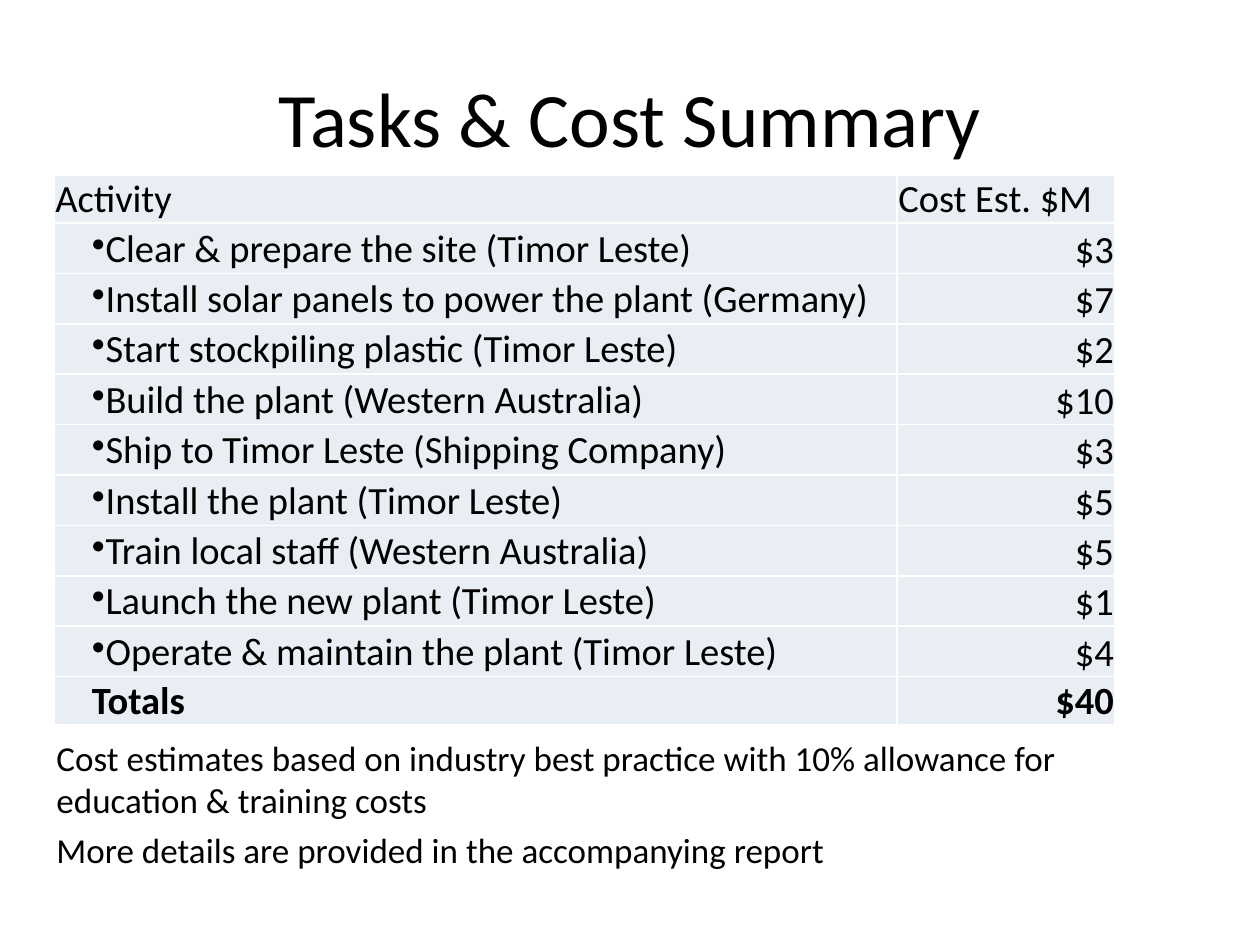
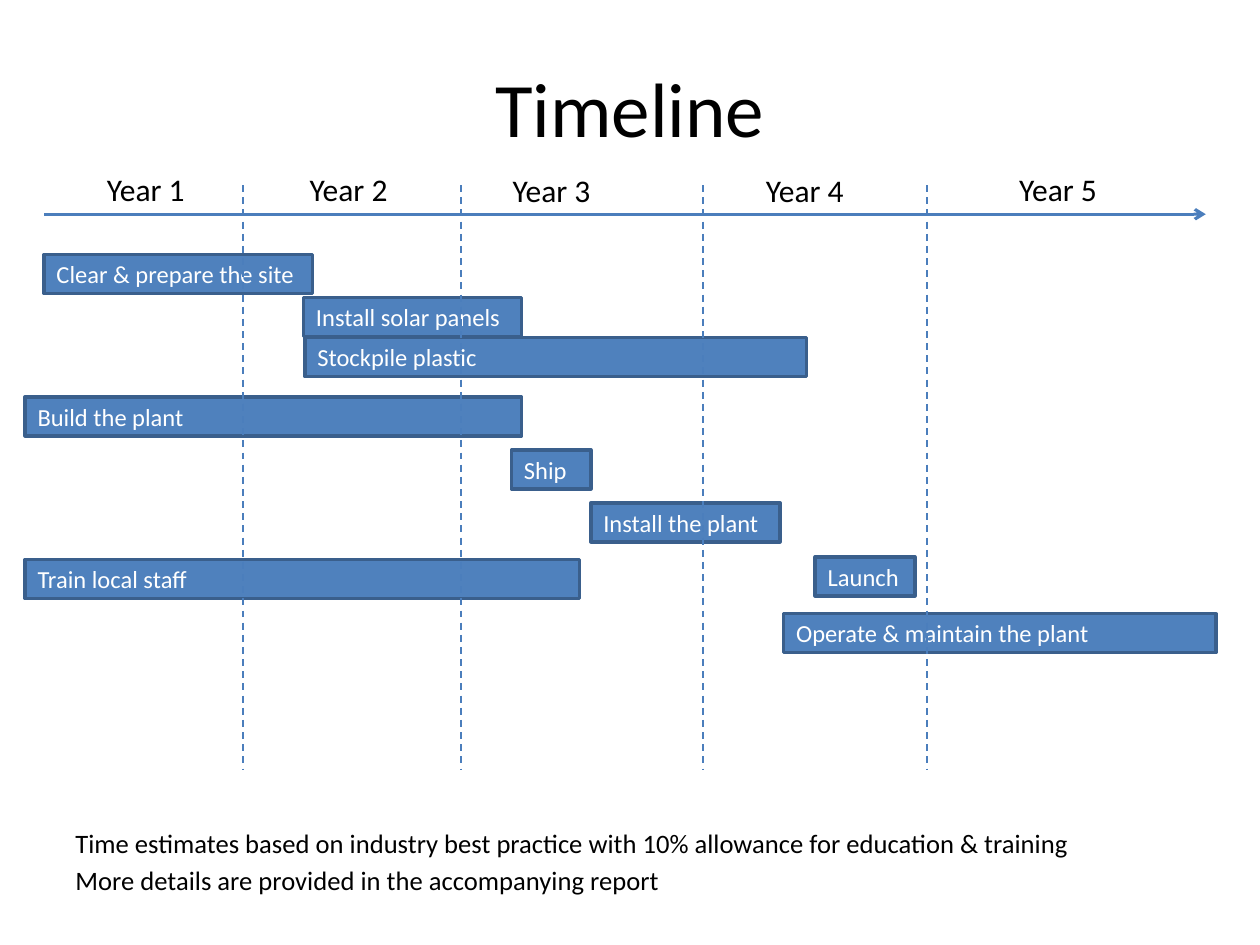
from dataclasses import dataclass

from lxml.etree import SubElement
from pptx import Presentation
from pptx.dml.color import RGBColor
from pptx.enum.dml import MSO_LINE
from pptx.enum.shapes import MSO_CONNECTOR, MSO_SHAPE
from pptx.enum.text import MSO_ANCHOR, MSO_AUTO_SIZE, PP_ALIGN
from pptx.oxml import parse_xml
from pptx.oxml.ns import nsdecls, qn
from pptx.util import Inches, Pt

FONT = "Calibri"
COLORS = {
    "text": "000000",
    "white": "FFFFFF",
    "cell": "E9EDF4",
    "bar": "4F81BD",
    "bar_edge": "3A5F8C",
    "axis": "4B7EBC",
}


@dataclass
class Activity:
    name: str
    cost: str
    bulleted: bool = True


@dataclass
class Bar:
    label: str
    left: float
    top: float
    width: float


@dataclass
class Year:
    label: str
    left: float
    top: float = 1.3


ACTIVITIES = [
    Activity("Clear & prepare the site (Timor Leste)", "$3"),
    Activity("Install solar panels to power the plant (Germany)", "$7"),
    Activity("Start stockpiling plastic (Timor Leste)", "$2"),
    Activity("Build the plant (Western Australia)", "$10"),
    Activity("Ship to Timor Leste (Shipping Company)", "$3"),
    Activity("Install the plant (Timor Leste)", "$5"),
    Activity("Train local staff (Western Australia)", "$5"),
    Activity("Launch the new plant (Timor Leste)", "$1"),
    Activity("Operate & maintain the plant (Timor Leste)", "$4"),
    Activity("Totals", "$40", bulleted=False),
]
BARS = [
    Bar("Clear & prepare the site", 0.35, 2.02, 2.13),
    Bar("Install solar panels", 2.41, 2.36, 1.73),
    Bar("Stockpile plastic", 2.42, 2.68, 3.98),
    Bar("Build the plant", 0.2, 3.15, 3.94),
    Bar("Ship", 4.06, 3.57, 0.63),
    Bar("Install the plant", 4.69, 3.99, 1.5),
    Bar("Train local staff", 0.2, 4.44, 4.4),
    Bar("Launch", 6.47, 4.42, 0.79),
    Bar("Operate & maintain the plant", 6.22, 4.87, 3.43),
]
YEARS = [
    Year("Year 1", 0.75),
    Year("Year 2", 2.36),
    Year("Year 3", 3.97, 1.31),
    Year("Year 4", 5.98, 1.31),
    Year("Year 5", 7.99),
]
YEAR_ENDS = [1.93, 3.66, 5.58, 7.36]
REPORT_NOTE = "More details are provided in the accompanying report"


def color(key: str) -> RGBColor:
    """Look up a palette colour."""
    return RGBColor.from_string(COLORS[key])


def style(paragraph, size: float, key: str = "text", bold: bool = False) -> None:
    """Set the font of a whole paragraph."""
    font = paragraph.font
    font.name, font.size, font.bold = FONT, Pt(size), bold
    font.color.rgb = color(key)


def add_titled_slide(deck, title: str, height: float):
    """Add a title-only slide with its title placed and styled."""
    slide = deck.slides.add_slide(deck.slide_layouts[5])
    heading = slide.shapes.title
    heading.left, heading.top = Inches(0.5), Inches(0.3)
    heading.width, heading.height = Inches(9), Inches(height)
    heading.text_frame.text = title
    heading.text_frame.vertical_anchor = MSO_ANCHOR.MIDDLE
    paragraph = heading.text_frame.paragraphs[0]
    paragraph.alignment = PP_ALIGN.CENTER
    style(paragraph, 44)
    return slide


def add_notes_below(slide, basis: str, left: float, top: float, height: float, size: float) -> None:
    """Write the estimate basis and the report reference."""
    box = slide.shapes.add_textbox(Inches(left), Inches(top), Inches(9), Inches(height))
    frame = box.text_frame
    frame.word_wrap = True
    frame.text = f"{basis}\n{REPORT_NOTE}"
    for paragraph in frame.paragraphs:
        paragraph.space_before = Pt(round(size * 0.2))
        style(paragraph, size)


def add_borders(cell) -> None:
    """Draw thin white borders round a cell."""
    properties = cell._tc.get_or_add_tcPr()
    for position, side in enumerate(("lnL", "lnR", "lnT", "lnB")):
        properties.insert(position, parse_xml(
            f'<a:{side} {nsdecls("a")} w="{Pt(1)}"><a:solidFill>'
            f'<a:srgbClr val="{COLORS["white"]}"/></a:solidFill></a:{side}>'))


def fill_cell(cell, text: str, indent: float = 0.01, anchor=MSO_ANCHOR.BOTTOM,
              align=PP_ALIGN.LEFT, bold: bool = False, bulleted: bool = False) -> None:
    """Write and format one table cell."""
    cell.text = text
    cell.margin_left, cell.margin_right = Inches(indent), Inches(0.01)
    cell.margin_top, cell.margin_bottom = Inches(0.01), Inches(0)
    cell.vertical_anchor = anchor
    cell.fill.solid()
    cell.fill.fore_color.rgb = color("cell")
    add_borders(cell)
    paragraph = cell.text_frame.paragraphs[0]
    paragraph.alignment = align
    style(paragraph, 22, bold=bold)
    if bulleted:
        properties = paragraph._p.get_or_add_pPr()
        bullet = parse_xml(f'<a:buChar {nsdecls("a")} char="•"/>')
        properties.insert(0, bullet)


def add_cost_table(slide) -> None:
    """Tabulate the activities and their costs."""
    row_count = len(ACTIVITIES) + 1
    table = slide.shapes.add_table(row_count, 2, Inches(0.43), Inches(1.39),
                                   Inches(8.42), Inches(4.36)).table
    table.first_row = table.horz_banding = False
    for column, width in zip(table.columns, (6.69, 1.73)):
        column.width = Inches(width)
    for index, row in enumerate(table.rows):
        row.height = Inches(0.38 if index in (0, row_count - 1) else 0.4)
    fill_cell(table.cell(0, 0), "Activity")
    fill_cell(table.cell(0, 1), "Cost Est. $M")
    for index, activity in enumerate(ACTIVITIES, start=1):
        bold = not activity.bulleted
        fill_cell(table.cell(index, 0), activity.name, indent=0.3, anchor=MSO_ANCHOR.MIDDLE,
                  bold=bold, bulleted=activity.bulleted)
        fill_cell(table.cell(index, 1), activity.cost, align=PP_ALIGN.RIGHT, bold=bold)


def add_bar(slide, bar: Bar) -> None:
    """Draw one task bar."""
    shape = slide.shapes.add_shape(MSO_SHAPE.RECTANGLE, Inches(bar.left), Inches(bar.top),
                                   Inches(bar.width), Inches(0.31))
    shape.shadow.inherit = False
    shape.fill.solid()
    shape.fill.fore_color.rgb = color("bar")
    shape.line.color.rgb = color("bar_edge")
    shape.line.width = Pt(2)
    shape.text_frame.text = bar.label
    shape.text_frame.vertical_anchor = MSO_ANCHOR.MIDDLE
    paragraph = shape.text_frame.paragraphs[0]
    paragraph.alignment = PP_ALIGN.LEFT
    style(paragraph, 14, "white")


def add_rule(slide, start: tuple[float, float], end: tuple[float, float], width: float):
    """Draw a plain line between two points and return its line format."""
    rule = slide.shapes.add_connector(MSO_CONNECTOR.STRAIGHT, *map(Inches, start + end))
    rule.line.color.rgb = color("axis")
    rule.line.width = Pt(width)
    SubElement(rule._element.spPr, qn("a:effectLst"))
    return rule.line


def add_year(slide, year: Year) -> None:
    """Label one year above the axis."""
    box = slide.shapes.add_textbox(Inches(year.left), Inches(year.top), Inches(0.83), Inches(0.4))
    box.text_frame.word_wrap = False
    box.text_frame.auto_size = MSO_AUTO_SIZE.SHAPE_TO_FIT_TEXT
    box.text_frame.text = year.label
    style(box.text_frame.paragraphs[0], 18)


def build_cost_slide(deck) -> None:
    """Build the cost summary."""
    slide = add_titled_slide(deck, "Tasks & Cost Summary", 1.25)
    add_notes_below(slide, "Cost estimates based on industry best practice with 10% allowance "
                    "for education & training costs", 0.35, 5.8, 1.26, 20)
    add_cost_table(slide)


def build_timeline_slide(deck) -> None:
    """Build the five-year timeline."""
    slide = add_titled_slide(deck, "Timeline", 1.09)
    for bar in BARS:
        add_bar(slide, bar)
    axis = add_rule(slide, (0.35, 1.7), (9.57, 1.7), 1.75)
    SubElement(axis._get_or_add_ln(), qn("a:tailEnd"), type="arrow")
    for year_end in YEAR_ENDS:
        add_rule(slide, (year_end, 1.47), (year_end, 6.11), 1).dash_style = MSO_LINE.DASH
    add_notes_below(slide, "Time estimates based on industry best practice with 10% allowance "
                    "for education & training", 0.5, 6.51, 0.71, 15.2)
    for year in YEARS:
        add_year(slide, year)


def main() -> None:
    """Build and save the deck."""
    deck = Presentation()
    deck.slide_width, deck.slide_height = Inches(10), Inches(7.5)
    build_cost_slide(deck)
    build_timeline_slide(deck)
    deck.save("out.pptx")


if __name__ == "__main__":
    main()
